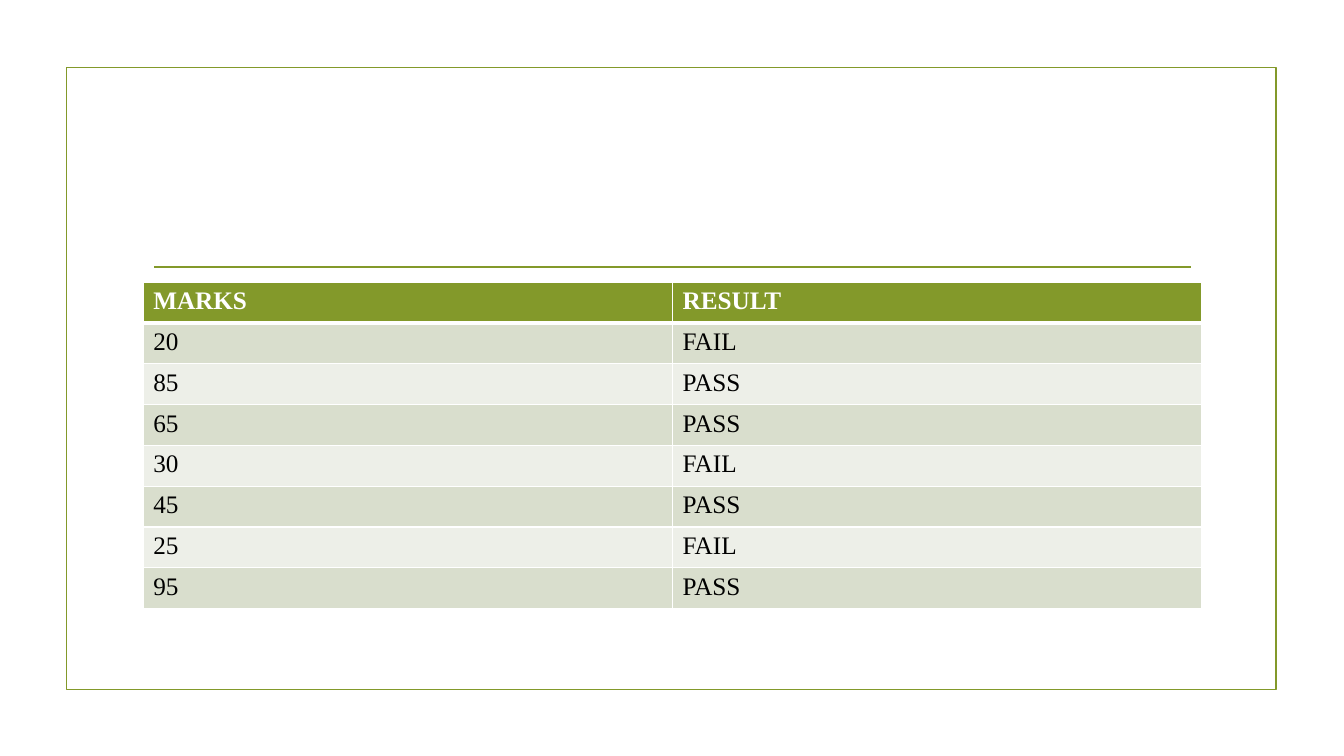
from lxml import etree
from pptx import Presentation
from pptx.dml.color import RGBColor
from pptx.enum import shapes
from pptx.oxml.ns import qn
from pptx.util import Inches, Pt

GREEN, WHITE, BLACK = "83992A", "FFFFFF", "000000"
BANDS = ["EDEFE8", "D9DECD"]
ROWS = [
    ("MARKS", "RESULT"),
    ("20", "FAIL"),
    ("85", "PASS"),
    ("65", "PASS"),
    ("30", "FAIL"),
    ("45", "PASS"),
    ("25", "FAIL"),
    ("95", "PASS"),
]


def paint(target, color):
    """Give a fill or line format one solid colour."""
    target.solid()
    target.fore_color.rgb = RGBColor.from_string(color)


def add_borders(cell, widths):
    """Put white borders, with widths in points by side, ahead of the cell fill."""
    properties = cell._tc.get_or_add_tcPr()
    for position, (side, width) in enumerate(widths.items()):
        border = etree.Element(qn(f"a:ln{side}"), w=str(Pt(width)))
        fill = etree.SubElement(border, qn("a:solidFill"))
        etree.SubElement(fill, qn("a:srgbClr"), val=WHITE)
        properties.insert(position, border)


deck = Presentation()
deck.slide_width, deck.slide_height = Inches(13.33), Inches(7.5)
page = deck.slides.add_slide(deck.slide_layouts[6])
paint(page.background.fill, WHITE)

frame = page.shapes.add_shape(
    shapes.MSO_SHAPE.RECTANGLE, Inches(0.66), Inches(0.67), Inches(12), Inches(6.17))
frame.shadow.inherit = False
frame.fill.background()

rule = page.shapes.add_connector(
    shapes.MSO_CONNECTOR.STRAIGHT, Inches(1.53), Inches(2.65), Inches(11.81), Inches(2.65))
etree.SubElement(rule._element.spPr, qn("a:effectLst"))

for outline in (frame.line, rule.line):
    paint(outline.fill, GREEN)
    outline.width = Pt(1.25)

table = page.shapes.add_table(
    len(ROWS), 2, Inches(1.42), Inches(2.8), Inches(10.5), Inches(3.24)).table

for row, values in enumerate(ROWS):
    header = row == 0
    for column, value in enumerate(values):
        cell = table.cell(row, column)
        cell.text = value
        font = cell.text_frame.paragraphs[0].font
        font.name = "Times New Roman"
        font.size = Pt(18)
        font.bold = header
        font.color.rgb = RGBColor.from_string(WHITE if header else BLACK)
        paint(cell.fill, GREEN if header else BANDS[row % 2])
        add_borders(cell, {"L": 1, "R": 1, "T": 3 if row == 1 else 1, "B": 3 if header else 1})

deck.save("out.pptx")
